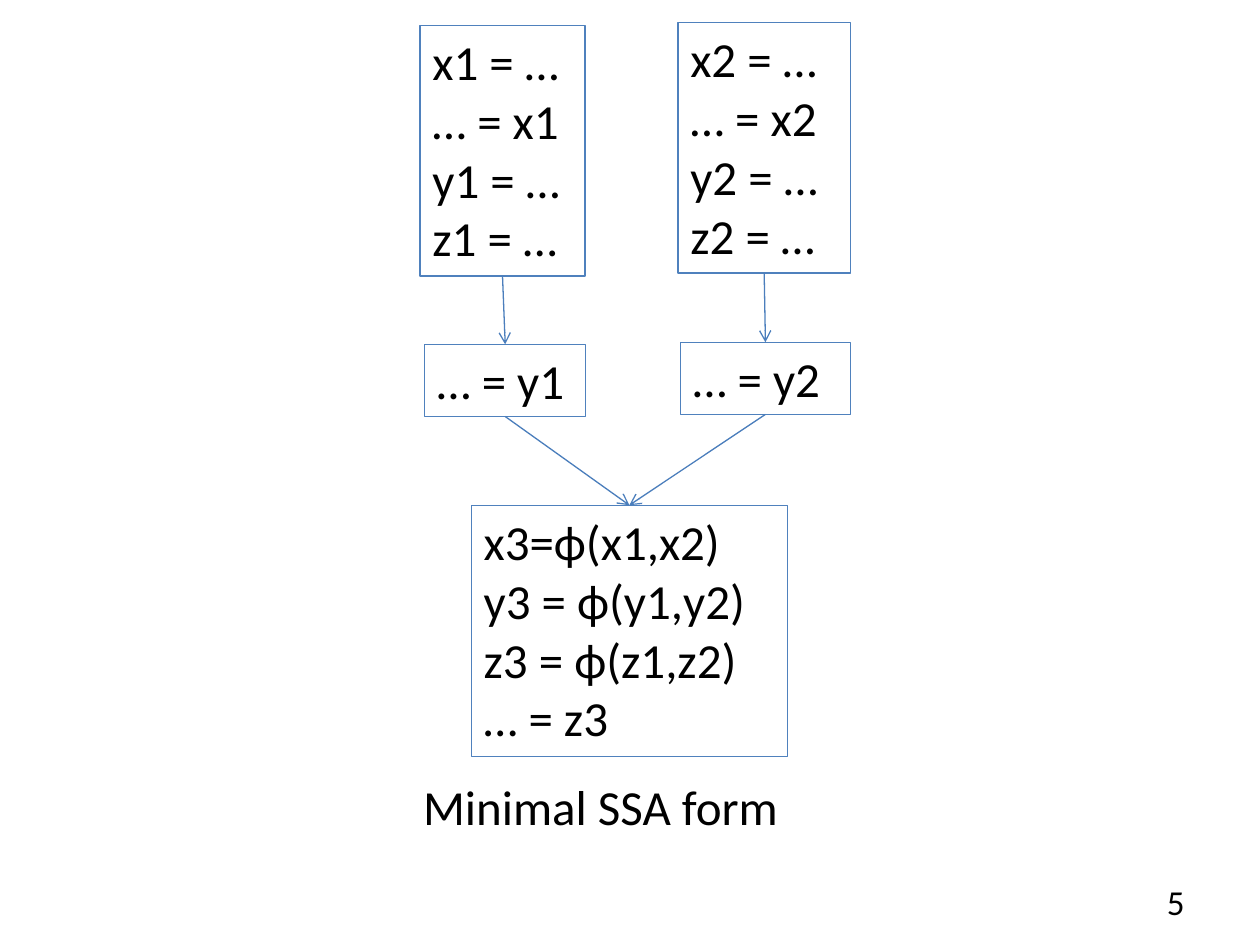
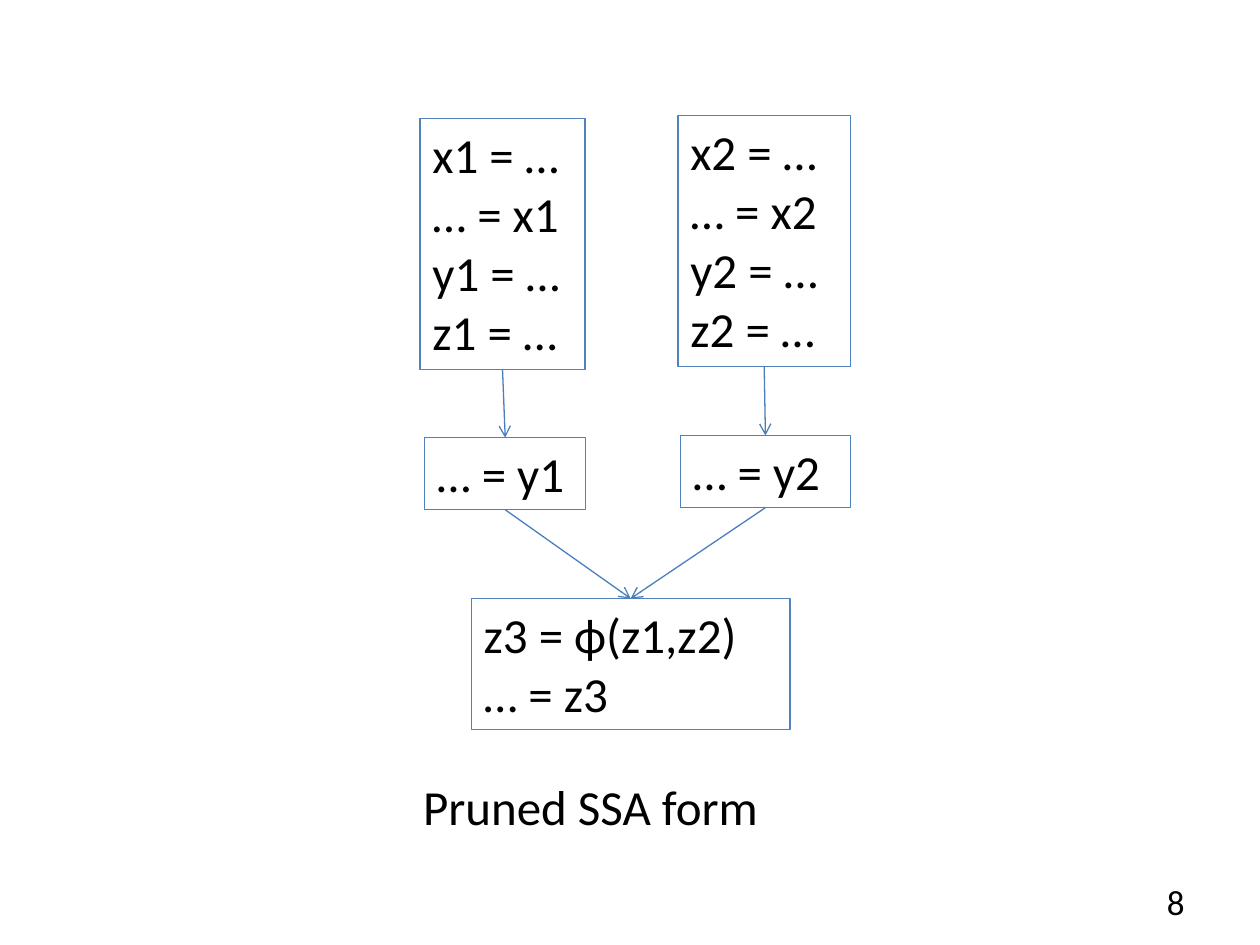
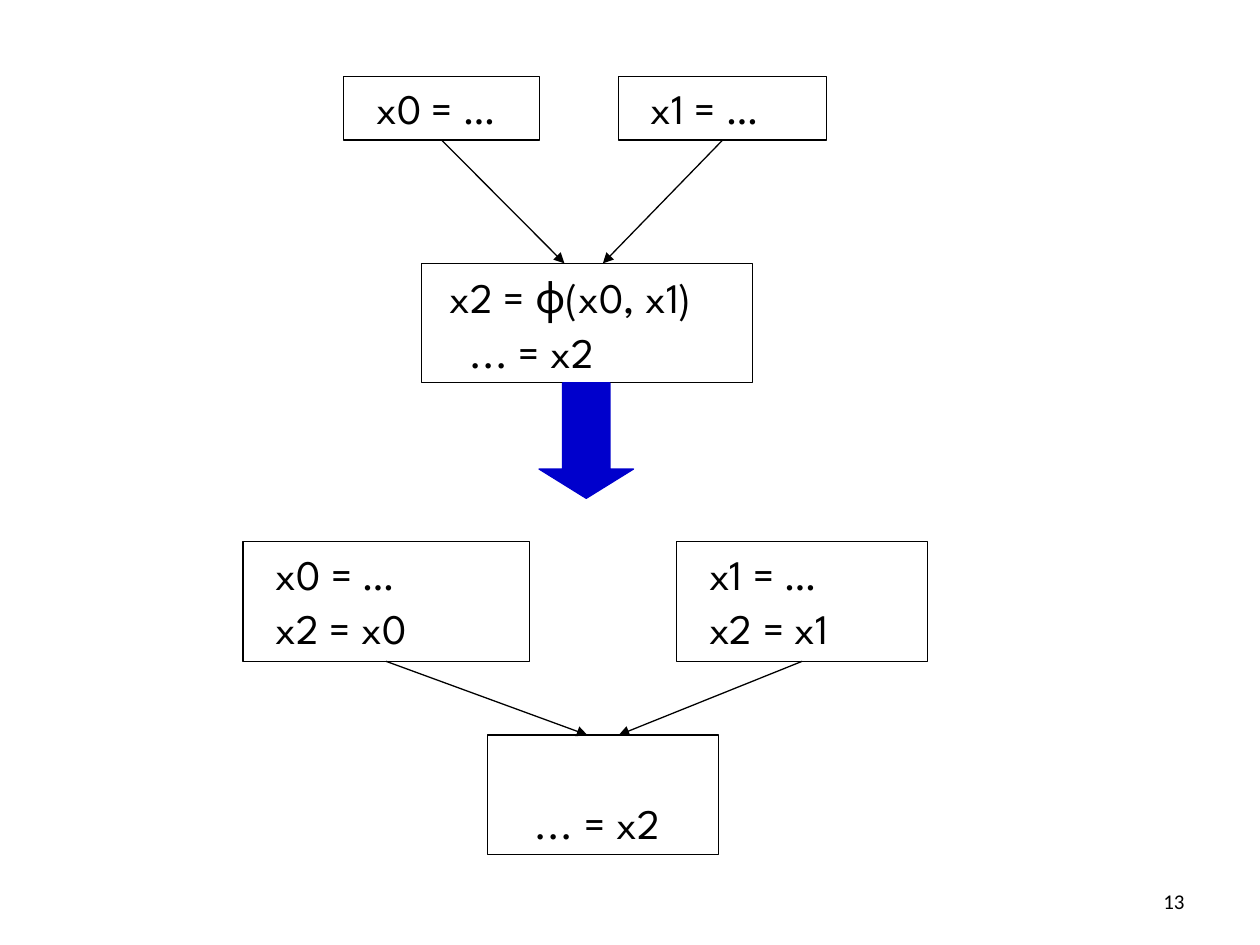
from lxml import etree
from pptx import Presentation
from pptx.dml.color import RGBColor
from pptx.enum import shapes, text
from pptx.oxml import ns
from pptx.util import Pt

BLACK = "000000"
BOX_BLUE = "4F81BD"
ARROW_BLUE = "4B7EBC"
STEP_BLUE = "0000CC"
FLOW_STYLE = {"size": 28, "font": "Calibri"}
COPY_STYLE = {"size": 24, "font": "League Spartan", "before": 2.4}


def add_box(page, lines, place, size, font, outline=None, indents=(), before=0,
            anchor=text.MSO_ANCHOR.TOP, align=text.PP_ALIGN.LEFT):
    """Add lines of text, in an outlined rectangle when an outline colour is given."""
    place = [Pt(length) for length in place]
    if outline:
        box = page.shapes.add_shape(shapes.MSO_SHAPE.RECTANGLE, *place)
        box.shadow.inherit = False
        box.fill.background()
        box.line.color.rgb = RGBColor.from_string(outline)
        box.line.width = Pt(0.75)
    else:
        box = page.shapes.add_textbox(*place)
    frame = box.text_frame
    frame.text = "\n".join(lines)
    frame.word_wrap = True
    frame.vertical_anchor = anchor
    for number, para in enumerate(frame.paragraphs):
        para.alignment = align
        para.space_before = Pt(before)
        if indents:
            para._p.get_or_add_pPr().set("marL", str(Pt(indents[number])))
        for span in para.runs:
            span.font.size = Pt(size)
            span.font.name = font
            span.font.color.rgb = RGBColor.from_string(BLACK)
    return box


def add_arrow(page, source, target, colour, head, shift=0):
    """Join bottom centre to top centre, with the tip moved sideways by shift."""
    arrow = page.shapes.add_connector(
        shapes.MSO_CONNECTOR.STRAIGHT,
        source.left + source.width // 2, source.top + source.height,
        target.left + target.width // 2 + Pt(shift), target.top)
    arrow.line.color.rgb = RGBColor.from_string(colour)
    arrow.line.width = Pt(0.75)
    etree.SubElement(arrow.line._get_or_add_ln(), ns.qn("a:tailEnd"), type=head)
    etree.SubElement(arrow._element.spPr, ns.qn("a:effectLst"))


deck = Presentation()
deck.slide_width, deck.slide_height = Pt(720), Pt(540)
pages = []
for page_number, number_size in (("5", 20), ("8", 20), ("13", 12)):
    page = deck.slides.add_slide(deck.slide_layouts[6])
    add_box(page, [page_number], (516, 500.5, 168, 28.75), number_size, "Calibri",
            anchor=text.MSO_ANCHOR.MIDDLE, align=text.PP_ALIGN.RIGHT)
    pages.append(page)

# Minimal and pruned SSA: the same two branches meet in different joins
ssa_forms = (
    ("Minimal SSA form", 0, (180.7, 143.5),
     ["x3=ϕ(x1,x2)", "y3 = ϕ(y1,y2)", "z3 = ϕ(z1,z2)", "… = z3"]),
    ("Pruned SSA form", 53.3, (182.2, 75), ["z3 = ϕ(z1,z2)", "… = z3"]),
)
branches = (
    (1, (240, 14.4, 94.3), (242.6, 196.8, 92.2)),
    (2, (387.4, 12.8, 98.6), (388.8, 195.6, 97.2)),
)
for page, (caption, drop, join_size, join_lines) in zip(pages, ssa_forms):
    join = add_box(page, join_lines, (269.3, 288.7 + drop, *join_size),
                   outline=BOX_BLUE, **FLOW_STYLE)
    for version, (def_left, def_top, def_width), (use_left, use_top, use_width) in branches:
        definitions = add_box(
            page, [f"x{version} = …", f"… = x{version}", f"y{version} = …", f"z{version} = …"],
            (def_left, def_top + drop, def_width, 143.3), outline=BOX_BLUE, **FLOW_STYLE)
        use = add_box(page, [f"… = y{version}"], (use_left, use_top + drop, use_width, 41.2),
                      outline=BOX_BLUE, **FLOW_STYLE)
        add_arrow(page, definitions, use, ARROW_BLUE, "arrow")
        add_arrow(page, use, join, ARROW_BLUE, "arrow")
    add_box(page, [caption], (234.7, 440, 256, 41.2), **FLOW_STYLE)

# Replacing a phi function by copies in the predecessors
page = pages[2]
stages = (
    ((["x2 = ϕ(x0, x1)", "... = x2"], (241, 150.5, 189, 68.3), (8.6, 20)),
     ((["x0 = …"], (196.4, 43.7, 112, 36.4), -13),
      (["x1 = …"], (353.4, 43.7, 119, 36.4), 9))),
    ((["... = x2"], (278.6, 420, 132, 68.3), (20,)),
     ((["x0 = …", "x2 = x0"], (138.8, 309.6, 163.6, 68.3), -9),
      (["x1 = …", "x2 = x1"], (386.6, 309.6, 143.6, 68.3), 9))),
)
for (join_lines, join_place, join_indents), predecessors in stages:
    join = add_box(page, join_lines, join_place, outline=BLACK, indents=join_indents,
                   anchor=text.MSO_ANCHOR.BOTTOM, **COPY_STYLE)
    for lines, place, shift in predecessors:
        predecessor = add_box(page, lines, place, outline=BLACK,
                              indents=[11.5] * len(lines), **COPY_STYLE)
        add_arrow(page, predecessor, join, BLACK, "triangle", shift)

step = page.shapes.add_shape(shapes.MSO_SHAPE.DOWN_ARROW, Pt(308), Pt(218.8), Pt(54), Pt(66))
step.shadow.inherit = False
step.adjustments[0], step.adjustments[1] = 0.5, 0.31
step.fill.solid()
step.fill.fore_color.rgb = RGBColor.from_string(STEP_BLUE)
step.line.color.rgb = RGBColor.from_string(STEP_BLUE)
step.line.width = Pt(0.75)

deck.save("out.pptx")
